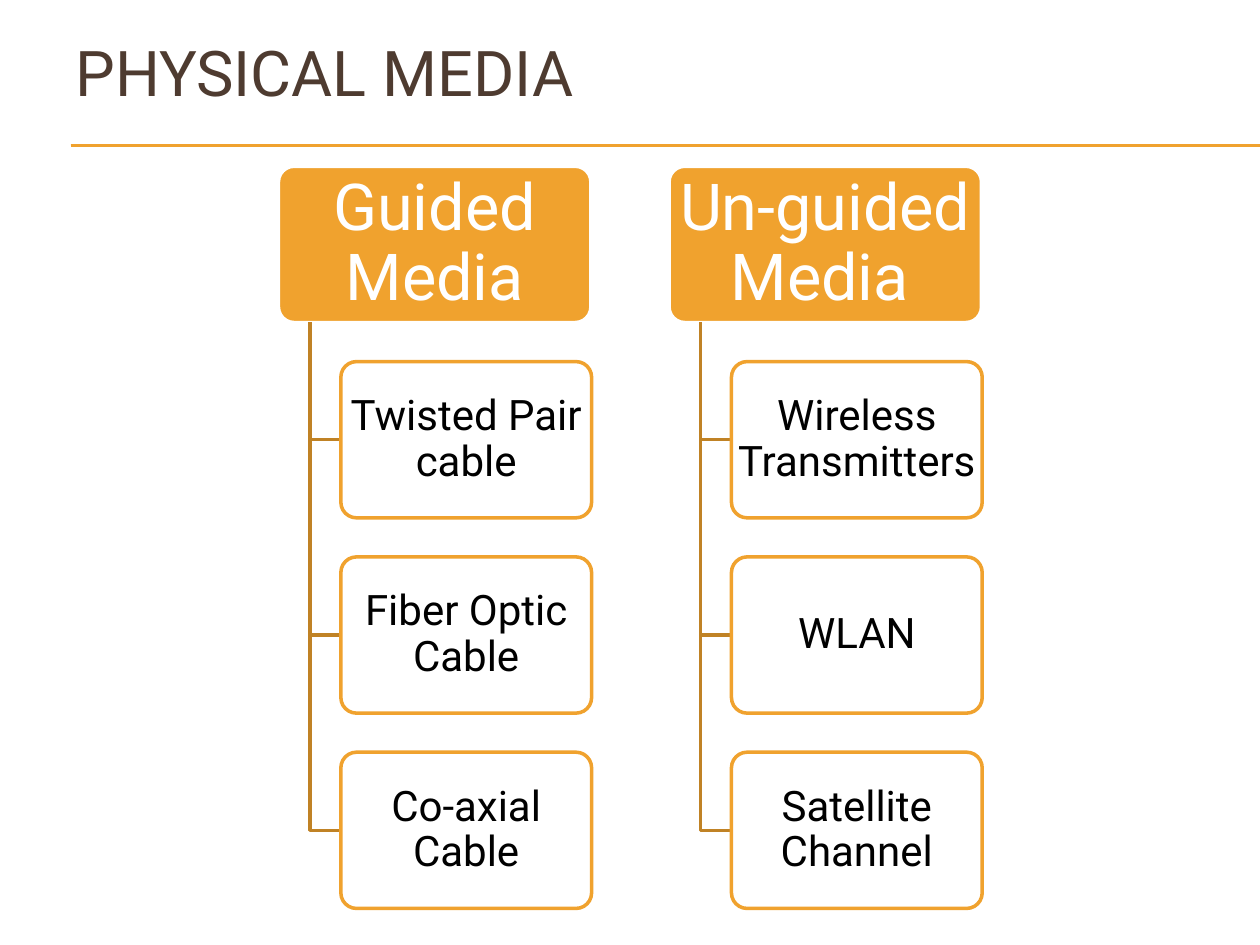
from lxml import etree
from pptx import Presentation
from pptx import util as u
from pptx.dml.color import RGBColor
from pptx.enum import shapes, text
from pptx.oxml.ns import qn

ORANGE = RGBColor(0xF0, 0xA2, 0x2E)
DARK_ORANGE = RGBColor(0xC0, 0x82, 0x25)
BROWN = RGBColor(0x4E, 0x3B, 0x30)
WHITE = RGBColor(0xFF, 0xFF, 0xFF)
BLACK = RGBColor(0, 0, 0)

HEADER_WIDTH, BOX_HEIGHT = 2.48, 1.24
ITEM_WIDTH, ITEM_INDENT = 1.99, 0.495
ROW_PITCH = 1.55
BRANCH_INDENT = 0.25

MEDIA = [
    ("Guided Media", ["Twisted Pair cable", "Fiber Optic Cable", "Co-axial Cable"]),
    ("Un-guided Media\t", ["Wireless Transmitters", "WLAN", "Satellite Channel"]),
]


def write_text(frame, words, size, color, align=text.PP_ALIGN.LEFT,
               spacing=1.0, inset_x=0.1, inset_y=0.05):
    frame.word_wrap = True
    frame.vertical_anchor = text.MSO_ANCHOR.MIDDLE
    frame.margin_left = frame.margin_right = u.Inches(inset_x)
    frame.margin_top = frame.margin_bottom = u.Inches(inset_y)
    para = frame.paragraphs[0]
    para.alignment = align
    para.line_spacing = spacing
    span = para.add_run()
    span.text = words
    span.font.name = "Roboto"
    span.font.size = u.Pt(size)
    span.font.color.rgb = color


def add_title(page, left, top, width, height):
    box = page.shapes.add_textbox(*map(u.Inches, (left, top, width, height)))
    write_text(box.text_frame, "PHYSICAL MEDIA", size=36, color=BROWN)


def add_rules(page, left, right, heights):
    for height in heights:
        rule = page.shapes.add_connector(
            shapes.MSO_CONNECTOR.STRAIGHT,
            *map(u.Inches, (left, height, right, height)))
        rule.line.color.rgb = ORANGE
        rule.line.width = u.Pt(0.75)
        etree.SubElement(rule._element.spPr, qn("a:effectLst"))


def add_card(page, left, top, width, words, fill, border, opacity=100, **style):
    card = page.shapes.add_shape(
        shapes.MSO_SHAPE.ROUNDED_RECTANGLE,
        *map(u.Inches, (left, top, width, BOX_HEIGHT)))
    card.adjustments[0] = 0.1
    card.shadow.inherit = False
    card.fill.solid()
    card.fill.fore_color.rgb = fill
    if opacity < 100:
        color = card._element.spPr.find(qn("a:solidFill")).find(qn("a:srgbClr"))
        etree.SubElement(color, qn("a:alpha"), val=str(opacity * 1000))
    card.line.color.rgb = border
    card.line.width = u.Pt(2)
    write_text(card.text_frame, words, align=text.PP_ALIGN.CENTER,
               spacing=0.9, inset_y=0, **style)


def add_branch(page, left, top, right, bottom):
    left, top, right, bottom = map(u.Inches, (left, top, right, bottom))
    builder = page.shapes.build_freeform(left, top)
    builder.add_line_segments([(left, bottom), (right, bottom)], close=False)
    branch = builder.convert_to_shape()
    branch.shadow.inherit = False
    branch.fill.background()
    branch.line.color.rgb = DARK_ORANGE
    branch.line.width = u.Pt(2)


def add_media_tree(page, left, top, heading, items):
    add_card(page, left, top, HEADER_WIDTH, heading, ORANGE, WHITE,
             size=37, color=WHITE, inset_x=0.04)
    item_left = left + ITEM_INDENT
    for row, item in enumerate(items, start=1):
        item_top = top + row * ROW_PITCH
        add_branch(page, left + BRANCH_INDENT, top + BOX_HEIGHT,
                   item_left, item_top + BOX_HEIGHT / 2)
        add_card(page, item_left, item_top, ITEM_WIDTH, item, WHITE, ORANGE,
                 opacity=90, size=24, color=BLACK, inset_x=0.01)


def main():
    deck = Presentation()
    deck.slide_width, deck.slide_height = u.Inches(10), u.Inches(7.5)
    page = deck.slides.add_slide(deck.slide_layouts[6])
    add_rules(page, 0.56, 10, [1.15, 1.15, 1.16])
    add_title(page, 0.5, 0.14, 9, 0.85)
    for column, (heading, items) in enumerate(MEDIA):
        add_media_tree(page, 2.21 + column * 3.1, 1.32, heading, items)
    deck.save("out.pptx")


if __name__ == "__main__":
    main()
